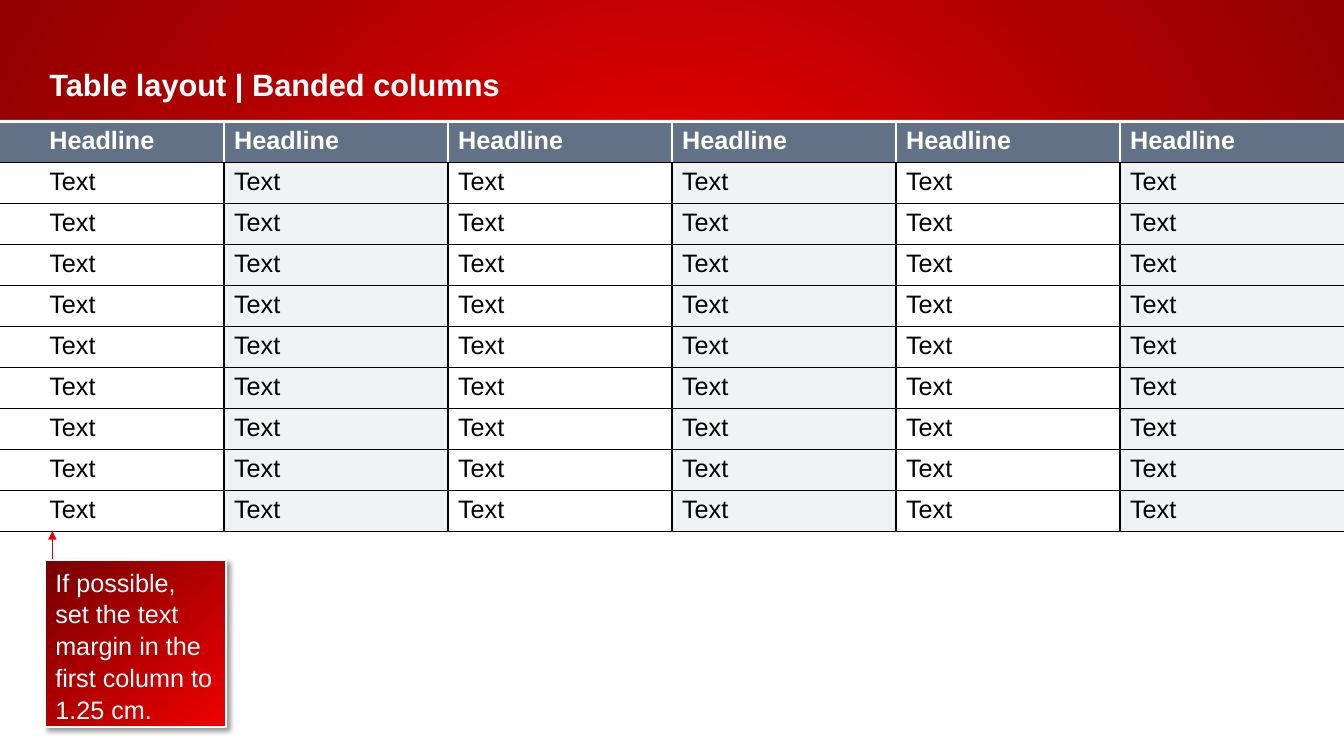
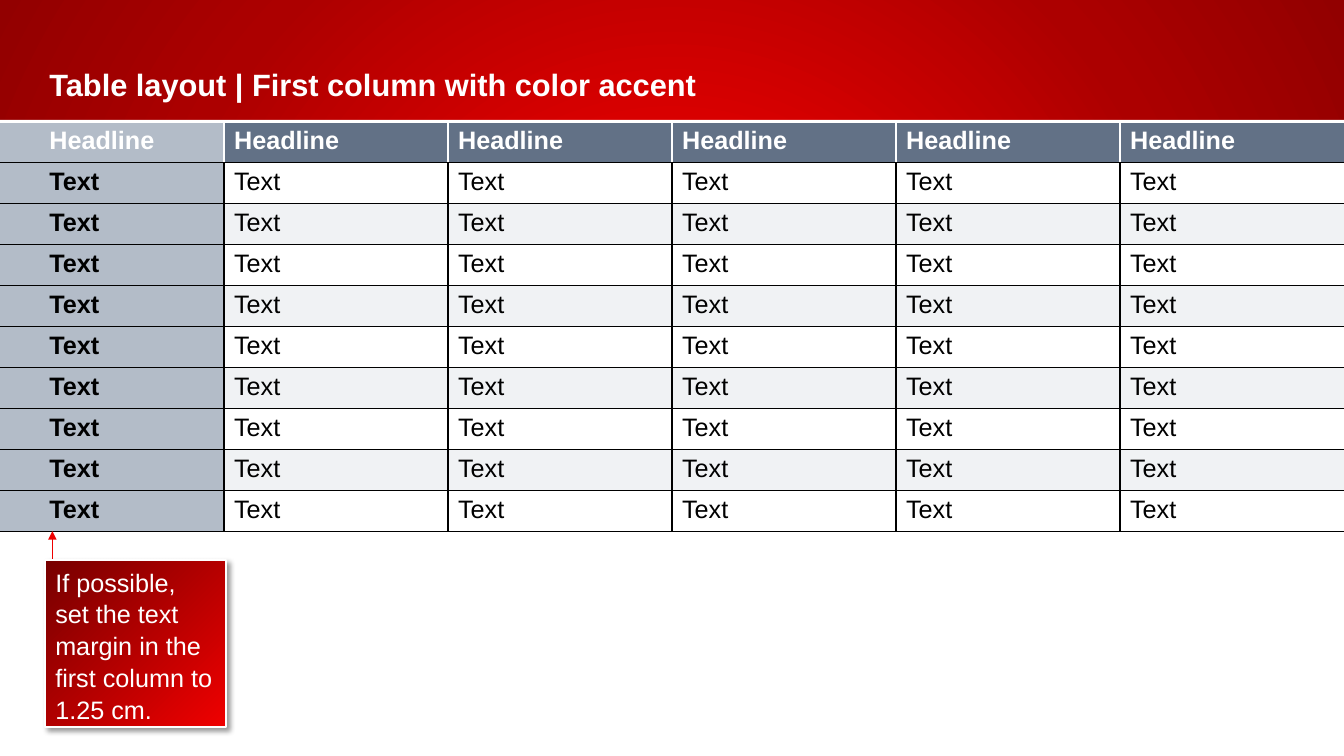
from dataclasses import dataclass
from typing import Callable

from lxml.etree import SubElement
from pptx import Presentation
from pptx.dml.color import RGBColor
from pptx.enum.shapes import MSO_CONNECTOR, MSO_SHAPE
from pptx.enum.text import MSO_ANCHOR, PP_ALIGN
from pptx.oxml import parse_xml
from pptx.oxml.ns import nsdecls, qn
from pptx.util import Emu, Inches, Pt

WIDE, HIGH = Inches(13.33), Inches(7.5)
COLS, ROWS = 6, 10
TOP, ROW = Inches(1.21), Inches(4.06) // ROWS
BASE = TOP + ROW * ROWS
INDENT, SIDE, EDGE = Inches(0.49), Inches(0.1), Inches(0.05)
FONT = "Arial"

RED = RGBColor(0xEF, 0x00, 0x00)
DARK = RGBColor(0xAC, 0x00, 0x00)
DEEP = RGBColor(0x92, 0x00, 0x00)
WINE = RGBColor(0x77, 0x00, 0x00)
SLATE = RGBColor(0x62, 0x71, 0x86)
STEEL = RGBColor(0xB3, 0xBC, 0xC8)
PALE = RGBColor(0xF0, 0xF2, 0xF4)
WHITE = RGBColor(0xFF, 0xFF, 0xFF)
BLACK = RGBColor(0x00, 0x00, 0x00)

NOTE = "If possible, set the text margin in the first column to 1.25 cm."


@dataclass(frozen=True)
class Page:
    title: str
    band: Callable[[int, int], bool]
    accent: bool = False


PAGES = [
    Page("Table layout | Banded columns", lambda row, col: col % 2 == 1),
    Page("Table layout | First column with color accent",
         lambda row, col: row % 2 == 0, accent=True),
]


def blend(owner, stops: list[tuple[int, RGBColor]], focus: dict[str, int]) -> None:
    marks = "".join(
        f'<a:gs pos="{pos * 1000}"><a:srgbClr val="{color}"/></a:gs>'
        for pos, color in stops)
    rect = " ".join(f'{side}="{share * 1000}"' for side, share in focus.items())
    grad = parse_xml(
        f'<a:gradFill {nsdecls("a")} rotWithShape="1"><a:gsLst>{marks}</a:gsLst>'
        f'<a:path path="circle"><a:fillToRect {rect}/></a:path></a:gradFill>')
    owner.replace(owner.find(qn("a:solidFill")), grad)


def write(frame, text: str, size: int, color: RGBColor, bold: bool = False):
    frame.word_wrap = True
    para = frame.paragraphs[0]
    para.text = text
    para.alignment = PP_ALIGN.LEFT
    font = para.font
    font.name, font.size, font.bold = FONT, Pt(size), bold
    font.color.rgb = color
    return para


def inset(box, left: int, edge: int) -> None:
    box.margin_left, box.margin_right = left, SIDE
    box.margin_top = box.margin_bottom = edge


def border(cell, color: RGBColor, bare: str) -> None:
    props = cell._tc.get_or_add_tcPr()
    for spot, side in enumerate("LRTB"):
        fill = ("<a:noFill/>" if side == bare else
                f'<a:solidFill><a:srgbClr val="{color}"/></a:solidFill>')
        width = 0 if side == bare else Pt(1)
        props.insert(spot, parse_xml(
            f'<a:ln{side} {nsdecls("a")} w="{width}">{fill}</a:ln{side}>'))


def shade(page: Page, row: int, col: int) -> RGBColor:
    if page.accent and col == 0:
        return STEEL
    if row == 0:
        return SLATE
    return PALE if page.band(row, col) else WHITE


def draw_grid(slide, page: Page) -> None:
    table = slide.shapes.add_table(ROWS, COLS, 0, TOP, WIDE, ROW * ROWS).table
    table.horz_banding = False
    for line in table.rows:
        line.height = Emu(ROW)
    for row in range(ROWS):
        head = row == 0
        for col in range(COLS):
            cell = table.cell(row, col)
            inset(cell, SIDE if col else INDENT, EDGE)
            cell.fill.solid()
            cell.fill.fore_color.rgb = shade(page, row, col)
            write(cell.text_frame, "Headline" if head else "Text", 18,
                  WHITE if head else BLACK, head or (page.accent and col == 0))
            border(cell, WHITE if head else BLACK,
                   {0: "L", COLS - 1: "R"}.get(col, ""))


def draw_box(slide, left: int, top: int, width: int, height: int):
    box = slide.shapes.add_shape(MSO_SHAPE.RECTANGLE, left, top, width, height)
    box.shadow.inherit = False
    box.fill.solid()
    box.fill.fore_color.rgb = WHITE
    box.line.fill.background()
    return box


def draw_title(slide, text: str) -> None:
    box = slide.shapes.add_textbox(0, Inches(0.49), Inches(11.09), Inches(0.69))
    frame = box.text_frame
    inset(frame, INDENT, Inches(0.16))
    frame.vertical_anchor = MSO_ANCHOR.BOTTOM
    write(frame, text, 22, WHITE, True)


def draw_arrow(slide, left: int, start: int, end: int) -> None:
    arrow = slide.shapes.add_connector(
        MSO_CONNECTOR.STRAIGHT, left, start, left, end)
    arrow.line.color.rgb = RED
    arrow.line.width = Pt(0.75)
    SubElement(arrow.line._get_or_add_ln(), qn("a:tailEnd"), type="triangle")
    SubElement(arrow._element.spPr, qn("a:effectLst"))


def draw_note(slide) -> None:
    top = Inches(5.56)
    draw_arrow(slide, Inches(0.52), top, BASE)
    box = draw_box(slide, Inches(0.45), top, Inches(1.79), Inches(1.65))
    box.line.color.rgb = WHITE
    box.line.width = Pt(1.5)
    props = box._element.spPr
    blend(props, [(0, RED), (100, WINE)], {"l": 100, "t": 100})
    props.find(qn("a:effectLst")).append(parse_xml(
        f'<a:outerShdw {nsdecls("a")} blurRad="{Pt(4)}" dist="{Pt(3)}" '
        f'dir="2700000" algn="tl" rotWithShape="0"><a:srgbClr val="{BLACK}">'
        '<a:alpha val="40000"/></a:srgbClr></a:outerShdw>'))
    frame = box.text_frame
    inset(frame, SIDE, EDGE)
    frame.vertical_anchor = MSO_ANCHOR.TOP
    write(frame, NOTE, 18, WHITE).line_spacing = 1.05


def set_back(master) -> None:
    master.background.fill.solid()
    blend(master.element.find(".//" + qn("p:bgPr")),
          [(0, RED), (16, RED), (69, DARK), (100, DEEP)],
          dict.fromkeys("ltrb", 50))


def main() -> None:
    deck = Presentation()
    deck.slide_width, deck.slide_height = WIDE, HIGH
    set_back(deck.slide_master)
    for page in PAGES:
        slide = deck.slides.add_slide(deck.slide_layouts[6])
        panel = Inches(1.19)
        draw_box(slide, 0, panel, WIDE, HIGH - panel)
        draw_grid(slide, page)
        draw_title(slide, page.title)
        draw_note(slide)
    deck.save("out.pptx")


if __name__ == "__main__":
    main()
